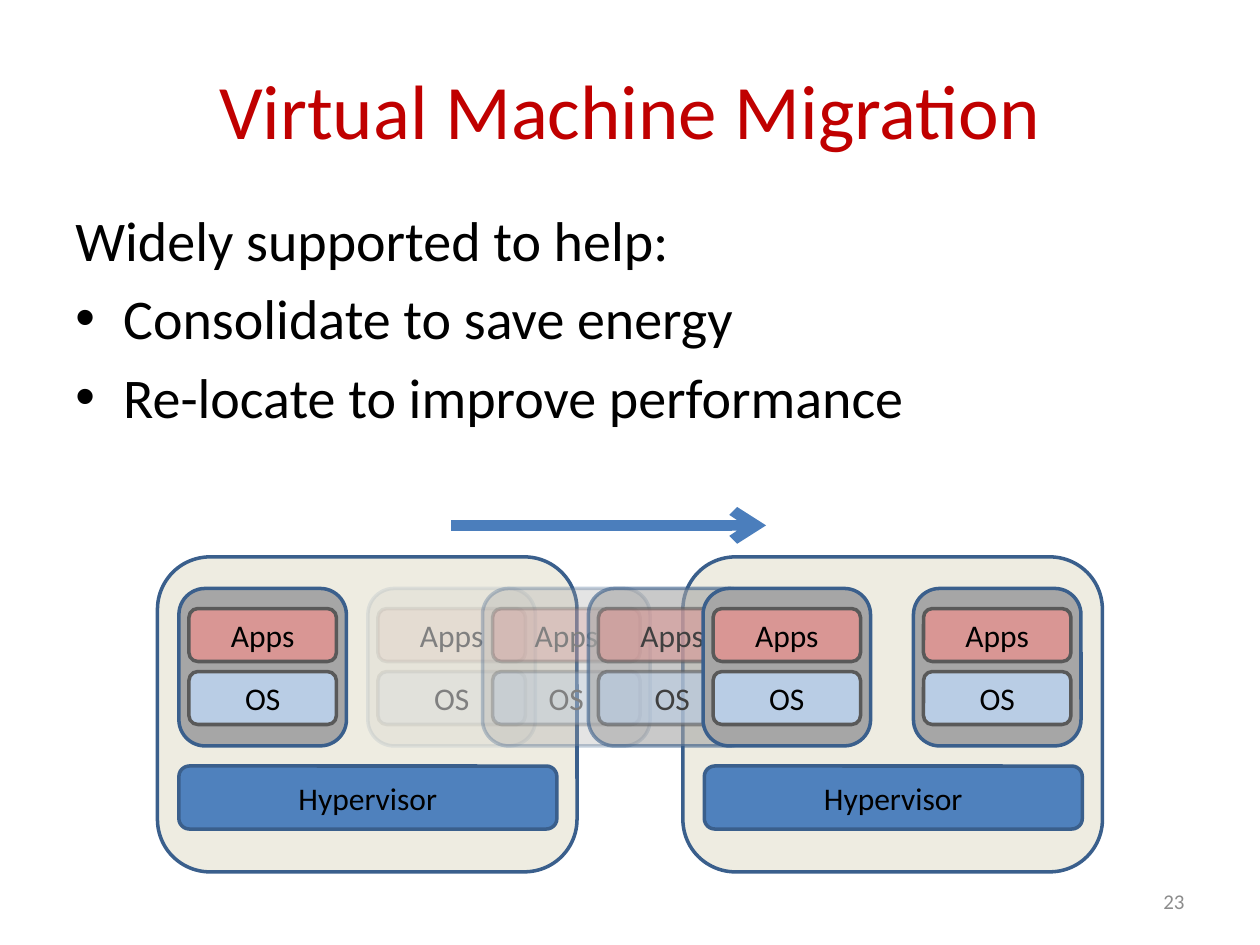
from lxml.etree import SubElement
from pptx import Presentation
from pptx.dml.color import RGBColor
from pptx.enum.shapes import MSO_CONNECTOR, MSO_SHAPE
from pptx.enum.text import MSO_ANCHOR, PP_ALIGN
from pptx.oxml.ns import qn
from pptx.util import Inches, Pt

COLORS = {
    "title": "C00000", "text": "000000", "number": "8C8C8C", "host": "EEECE1",
    "hypervisor": "4F81BD", "vm": "A6A6A6", "Apps": "D99694", "OS": "B9CDE5",
    "edge": "3A5F8C", "ghost_edge": "385D8A", "layer_edge": "595959",
    "arrow": "4B7EBC", "faint": "808080", "dim": "404040",
}


def add_text(p, text, size, color):
    r = p.add_run()
    r.text = text
    r.font.name = "Calibri"
    r.font.size = Pt(size)
    r.font.color.rgb = RGBColor.from_string(COLORS[color])


def add_box(shapes, x, y, w, h, fill, edge="edge", label="", color="text", alpha=100):
    s = shapes.add_shape(MSO_SHAPE.ROUNDED_RECTANGLE, Inches(x), Inches(y), Inches(w), Inches(h))
    s.shadow.inherit = False
    s.fill.solid()
    s.fill.fore_color.rgb = RGBColor.from_string(COLORS[fill])
    s.line.color.rgb = RGBColor.from_string(COLORS[edge])
    s.line.width = Pt(2)
    if alpha < 100:
        for clr in s._element.spPr.iter(qn("a:srgbClr")):
            SubElement(clr, qn("a:alpha"), val=str(alpha * 1000))
    if label:
        s.text_frame.vertical_anchor = MSO_ANCHOR.MIDDLE
        p = s.text_frame.paragraphs[0]
        p.alignment = PP_ALIGN.CENTER
        add_text(p, label, 18, color)


prs = Presentation()
prs.slide_width, prs.slide_height = Inches(10), Inches(7.5)
slide = prs.slides.add_slide(prs.slide_layouts[5])
shapes = slide.shapes

title = shapes.title
title.left, title.top, title.width, title.height = Inches(0.5), Inches(0.3), Inches(9), Inches(1.12)
title.text_frame.vertical_anchor = MSO_ANCHOR.MIDDLE
p = title.text_frame.paragraphs[0]
p.alignment = PP_ALIGN.CENTER
add_text(p, "Virtual Machine Migration", 44, "title")

tf = shapes.add_textbox(Inches(0.5), Inches(1.58), Inches(9), Inches(5.12)).text_frame
tf.word_wrap = True
lines = ["Widely supported to help:", "Consolidate to save energy", "Re-locate to improve performance"]
for i, line in enumerate(lines):
    p = tf.paragraphs[0] if i == 0 else tf.add_paragraph()
    pPr = p._p.get_or_add_pPr()
    pPr.set("marL", str(Inches(0.38)))
    pPr.set("indent", str(-Inches(0.38)))
    if i > 0:
        p.space_before = Pt(6.4)
        SubElement(pPr, qn("a:buFont"), typeface="Arial")
        SubElement(pPr, qn("a:buChar"), char="•")
    add_text(p, line, 32, "text")

for x in (1.25, 5.42):
    add_box(shapes, x, 4.42, 3.33, 2.5, "host")
    add_box(shapes, x + 0.17, 6.08, 3, 0.5, "hypervisor", label="Hypervisor")

machines = [
    (1.42, 100, "edge", "text"),
    (7.25, 100, "edge", "text"),
    (2.92, 10, "ghost_edge", "faint"),
    (3.83, 30, "ghost_edge", "faint"),
    (4.67, 60, "ghost_edge", "dim"),
    (5.58, 100, "edge", "text"),
]
for x, alpha, edge, color in machines:
    vm = shapes.add_group_shape().shapes
    add_box(vm, x, 4.67, 1.33, 1.25, "vm", edge, alpha=alpha)
    for y, label in ((4.83, "Apps"), (5.33, "OS")):
        add_box(vm, x + 0.08, y, 1.17, 0.42, label, "layer_edge", label, color, alpha)

arrow = shapes.add_connector(MSO_CONNECTOR.STRAIGHT, Inches(3.58), Inches(4.17), Inches(6.08), Inches(4.17))
arrow.line.color.rgb = RGBColor.from_string(COLORS["arrow"])
arrow.line.width = Pt(6)
SubElement(arrow.line._get_or_add_ln(), qn("a:tailEnd"), type="arrow")
SubElement(arrow._element.spPr, qn("a:effectLst"))

tf = shapes.add_textbox(Inches(7.17), Inches(6.95), Inches(2.33), Inches(0.4)).text_frame
tf.word_wrap = True
tf.vertical_anchor = MSO_ANCHOR.MIDDLE
p = tf.paragraphs[0]
p.alignment = PP_ALIGN.RIGHT
add_text(p, "23", 12, "number")

prs.save("out.pptx")
